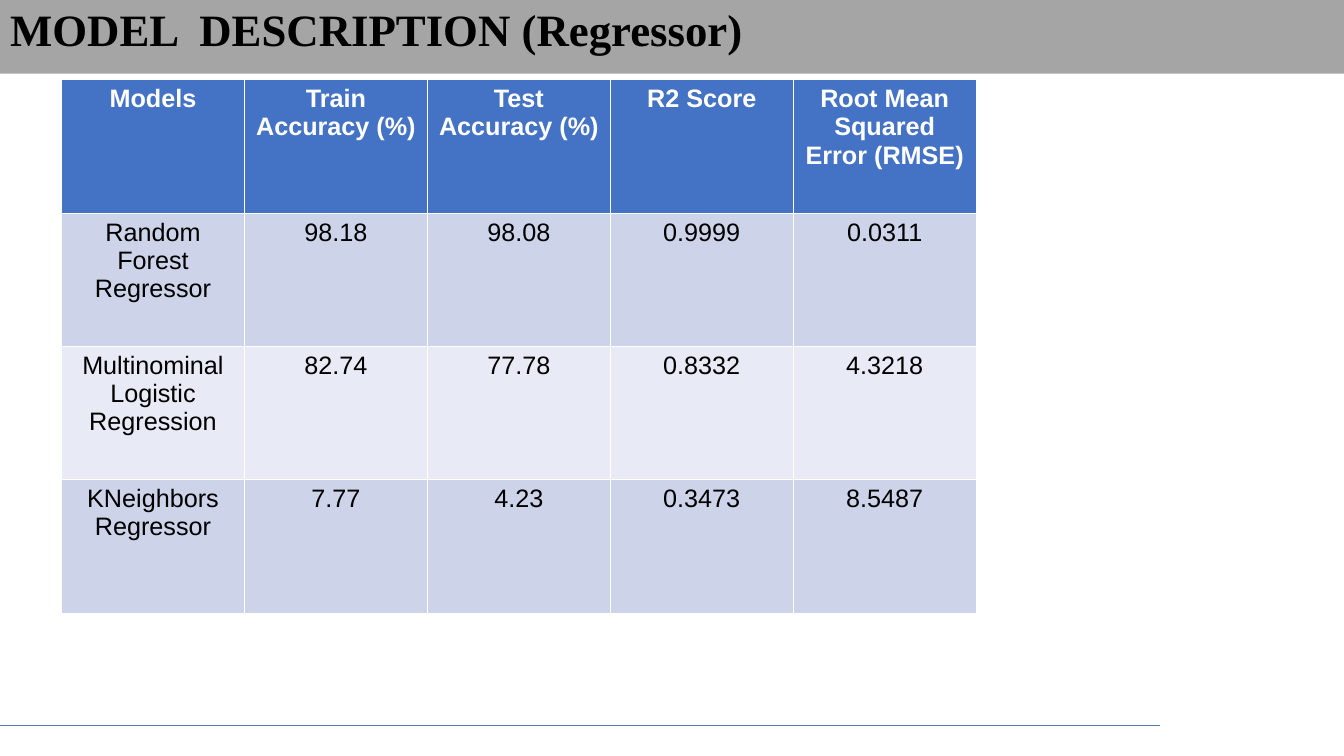
from dataclasses import astuple, dataclass

import pptx
import pptx.dml.color
import pptx.enum.shapes
import pptx.enum.text
import pptx.oxml.ns
import pptx.slide
import pptx.table
import pptx.text.text
import pptx.util
from lxml import etree
from pptx.util import Cm

COLORS = {
    "bar": "A5A5A5",
    "rule": "4A7DBA",
    "head": "4472C4",
    "odd": "CDD4EA",
    "even": "E8EBF5",
    "dark": "000000",
    "light": "FFFFFF",
}


@dataclass
class Model:
    name: str
    train: str
    test: str
    score: str
    error: str


HEAD = Model("Models", "Train Accuracy (%)", "Test Accuracy (%)",
             "R2 Score", "Root Mean Squared Error (RMSE)")
MODELS = [
    Model("Random Forest Regressor", "98.18", "98.08", "0.9999", "0.0311"),
    Model("Multinominal Logistic Regression", "82.74", "77.78", "0.8332", "4.3218"),
    Model("KNeighbors Regressor", "7.77", "4.23", "0.3473", "8.5487"),
]


def color(name: str) -> pptx.dml.color.RGBColor:
    return pptx.dml.color.RGBColor.from_string(COLORS[name])


def set_font(para: pptx.text.text._Paragraph, face: str, size: int,
             ink: str, bold: bool) -> None:
    font = para.font
    font.name = face
    font.size = pptx.util.Pt(size)
    font.bold = bold
    font.color.rgb = color(ink)


def add_title(slide: pptx.slide.Slide) -> None:
    title = slide.shapes.title
    title.left, title.top = Cm(0), Cm(0.05)
    title.width, title.height = Cm(33.87), Cm(1.5)
    title.fill.solid()
    title.fill.fore_color.rgb = color("bar")
    frame = title.text_frame
    frame.text = "MODEL  DESCRIPTION (Regressor)"
    frame.word_wrap = True
    frame.auto_size = pptx.enum.text.MSO_AUTO_SIZE.SHAPE_TO_FIT_TEXT
    frame.vertical_anchor = pptx.enum.text.MSO_ANCHOR.MIDDLE
    para = frame.paragraphs[0]
    para.alignment = pptx.enum.text.PP_ALIGN.LEFT
    para.line_spacing = 0.9
    set_font(para, "Times New Roman", 32, "dark", True)


def add_rule(slide: pptx.slide.Slide) -> None:
    """Draw the thin line along the foot of the slide."""
    rule = slide.shapes.add_connector(
        pptx.enum.shapes.MSO_CONNECTOR.STRAIGHT,
        Cm(0), Cm(18.29), Cm(29.24), Cm(18.29))
    rule.line.color.rgb = color("rule")
    rule.line.width = pptx.util.Pt(0.75)
    etree.SubElement(rule._element.spPr, pptx.oxml.ns.qn("a:effectLst"))


def fill_cell(cell: pptx.table._Cell, text: str, fill: str,
              ink: str, bold: bool) -> None:
    cell.fill.solid()
    cell.fill.fore_color.rgb = color(fill)
    cell.text = text
    para = cell.text_frame.paragraphs[0]
    para.alignment = pptx.enum.text.PP_ALIGN.CENTER
    set_font(para, "Arial", 18, ink, bold)


def add_scores(slide: pptx.slide.Slide) -> None:
    """Add the table; its default style draws the white borders."""
    rows = [astuple(model) for model in [HEAD, *MODELS]]
    count = len(rows[0])
    table = slide.shapes.add_table(
        len(rows), count, Cm(1.55), Cm(2.01),
        Cm(4.61) * count, Cm(3.36) * len(rows)).table
    for i, row in enumerate(rows):
        top = i == 0
        fill = "head" if top else ("odd" if i % 2 else "even")
        for j, text in enumerate(row):
            fill_cell(table.cell(i, j), text, fill,
                      "light" if top else "dark", top)


def main() -> None:
    deck = pptx.Presentation()
    deck.slide_width, deck.slide_height = Cm(33.87), Cm(19.05)
    slide = deck.slides.add_slide(deck.slide_layouts[5])
    add_title(slide)
    add_rule(slide)
    add_scores(slide)
    deck.save("out.pptx")


if __name__ == "__main__":
    main()
